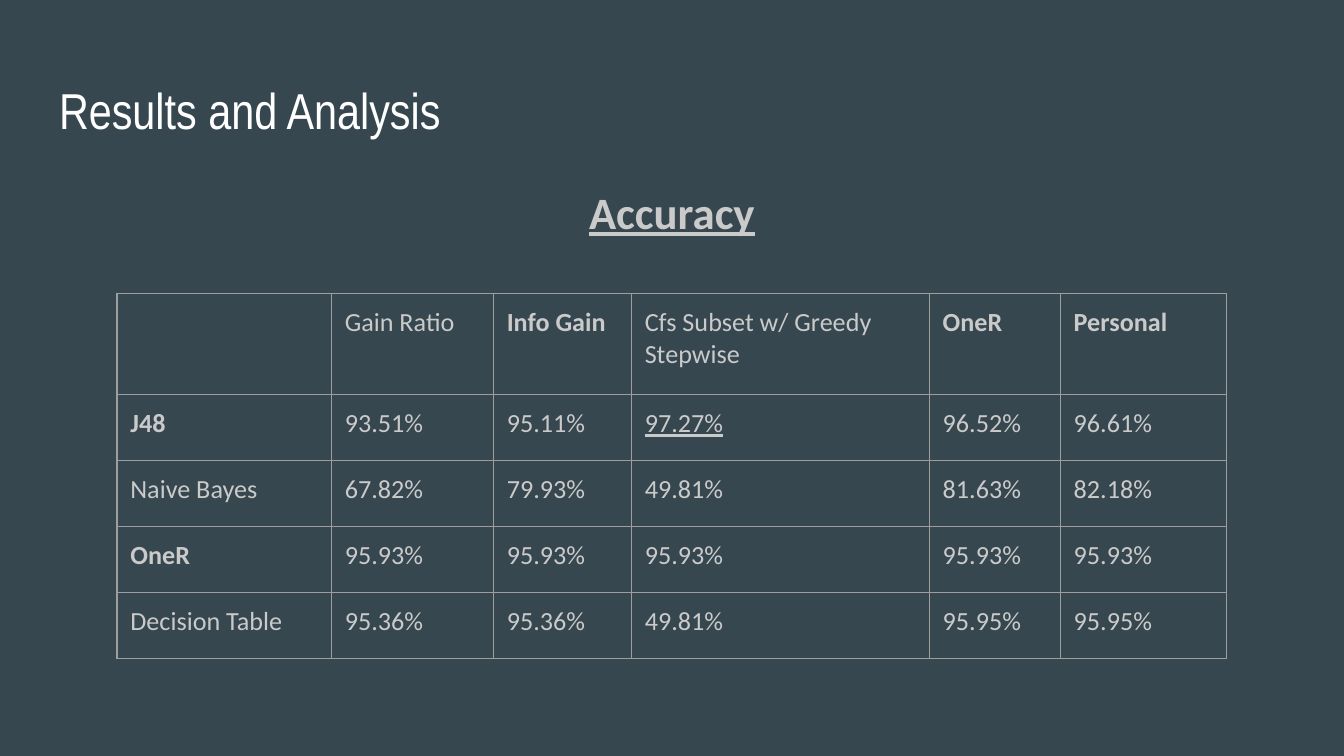
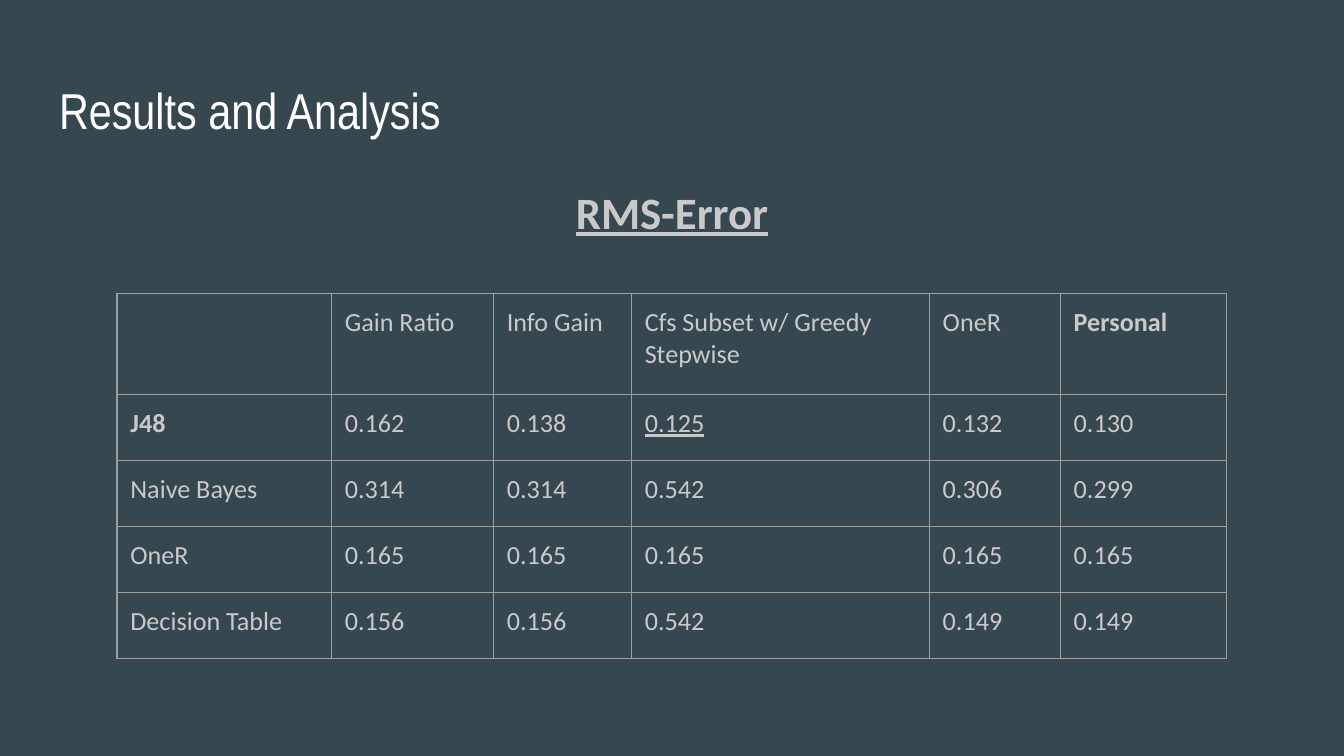
from dataclasses import dataclass

from lxml.etree import SubElement
from pptx import Presentation
from pptx.dml.color import RGBColor
from pptx.enum.text import MSO_ANCHOR as Anchor, PP_ALIGN as Align
from pptx.oxml.ns import qn
from pptx.util import Inches, Pt

SLIDE_WIDTH = Inches(10)
SLIDE_HEIGHT = SLIDE_WIDTH * 9 // 16

BACKGROUND = RGBColor(0x37, 0x47, 0x4F)
TITLE_COLOR = RGBColor(0xFF, 0xFF, 0xFF)
BODY_COLOR = RGBColor(0xCA, 0xCA, 0xCA)
BORDER_COLOR = RGBColor(0x9E, 0x9E, 0x9E)
TITLE_FONT, BODY_FONT = "Arial Narrow", "Calibri"
INSET = Inches(0.1)
BORDER_WIDTH = Pt(0.75)


def across(percent):
    return round(SLIDE_WIDTH * percent / 100)


def down(percent):
    return round(SLIDE_HEIGHT * percent / 100)


@dataclass
class Box:
    """A region in percent of the slide's width and height."""
    left: float
    top: float
    width: float
    height: float

    def place(self):
        return (across(self.left), down(self.top),
                across(self.width), down(self.height))


COLUMN_SHARES = [15.96, 12.05, 10.27, 22.17, 9.75, 12.39]
ROW_SHARES = [13.4] + [8.73] * 4
TITLE_BOX = Box(3.41, 9, 93.2, 11.2)
TABLE_BOX = Box(8.7, 38.8, sum(COLUMN_SHARES), sum(ROW_SHARES))

METHODS = ["", "Gain Ratio", "Info Gain", "Cfs Subset w/ Greedy Stepwise",
           "OneR", "Personal"]
BEST = (1, 3)  # row and column of the underlined value

ACCURACY = [
    METHODS,
    ["J48", "93.51%", "95.11%", "97.27%", "96.52%", "96.61%"],
    ["Naive Bayes", "67.82%", "79.93%", "49.81%", "81.63%", "82.18%"],
    ["OneR"] + ["95.93%"] * 5,
    ["Decision Table", "95.36%", "95.36%", "49.81%", "95.95%", "95.95%"],
]
RMS_ERROR = [
    METHODS,
    ["J48", "0.162", "0.138", "0.125", "0.132", "0.130"],
    ["Naive Bayes", "0.314", "0.314", "0.542", "0.306", "0.299"],
    ["OneR"] + ["0.165"] * 5,
    ["Decision Table", "0.156", "0.156", "0.542", "0.149", "0.149"],
]

# Heading, heading box, table values, bold (row, column) positions
RESULTS = [
    ("Accuracy", Box(32.3, 22.7, 35.4, 13.16), ACCURACY,
     {(0, 2), (0, 4), (0, 5), (1, 0), (3, 0)}),
    ("RMS-Error", Box(26.7, 22.7, 46.6, 13.16), RMS_ERROR,
     {(0, 5), (1, 0)}),
]


def write(frame, text, size=14, font=BODY_FONT, color=BODY_COLOR,
          bold=False, underline=False, align=Align.LEFT):
    frame.word_wrap = True
    para = frame.paragraphs[0]
    para.alignment = align
    span = para.add_run()
    span.text = text
    span.font.name = font
    span.font.size = Pt(size)
    span.font.color.rgb = color
    span.font.bold = bold
    span.font.underline = underline


def add_text(page, box, text, anchor=Anchor.TOP, **style):
    frame = page.shapes.add_textbox(*box.place()).text_frame
    frame.margin_left = frame.margin_right = INSET
    frame.margin_top = frame.margin_bottom = INSET
    frame.vertical_anchor = anchor
    write(frame, text, **style)


def outline(cell):
    properties = cell._tc.get_or_add_tcPr()
    # Borders stand before the fill, in this order
    for index, side in enumerate(("a:lnL", "a:lnR", "a:lnT", "a:lnB")):
        line = SubElement(properties, qn(side), w=str(BORDER_WIDTH))
        fill = SubElement(line, qn("a:solidFill"))
        SubElement(fill, qn("a:srgbClr"), val=str(BORDER_COLOR))
        properties.insert(index, line)


def add_results_table(page, box, values, bold_cells):
    table = page.shapes.add_table(len(ROW_SHARES), len(COLUMN_SHARES),
                                  *box.place()).table
    table.first_row = table.horz_banding = False
    for column, share in zip(table.columns, COLUMN_SHARES):
        column.width = across(share)
    for row, share in zip(table.rows, ROW_SHARES):
        row.height = down(share)
    for r, row_values in enumerate(values):
        for c, text in enumerate(row_values):
            cell = table.cell(r, c)
            cell.margin_left = cell.margin_right = INSET
            cell.margin_top = cell.margin_bottom = INSET
            cell.fill.background()
            outline(cell)
            if text:
                write(cell.text_frame, text, bold=(r, c) in bold_cells,
                      underline=(r, c) == BEST)


def add_results_slide(deck, heading, heading_box, values, bold_cells):
    page = deck.slides.add_slide(deck.slide_layouts[6])
    page.background.fill.solid()
    page.background.fill.fore_color.rgb = BACKGROUND
    # Title
    add_text(page, TITLE_BOX, "Results and Analysis", anchor=Anchor.BOTTOM,
             size=27, font=TITLE_FONT, color=TITLE_COLOR)
    # Table under its heading
    add_results_table(page, TABLE_BOX, values, bold_cells)
    add_text(page, heading_box, heading, size=24, bold=True, underline=True,
             align=Align.CENTER)


def main():
    deck = Presentation()
    deck.slide_width, deck.slide_height = SLIDE_WIDTH, SLIDE_HEIGHT
    for result in RESULTS:
        add_results_slide(deck, *result)
    deck.save("out.pptx")


if __name__ == "__main__":
    main()
